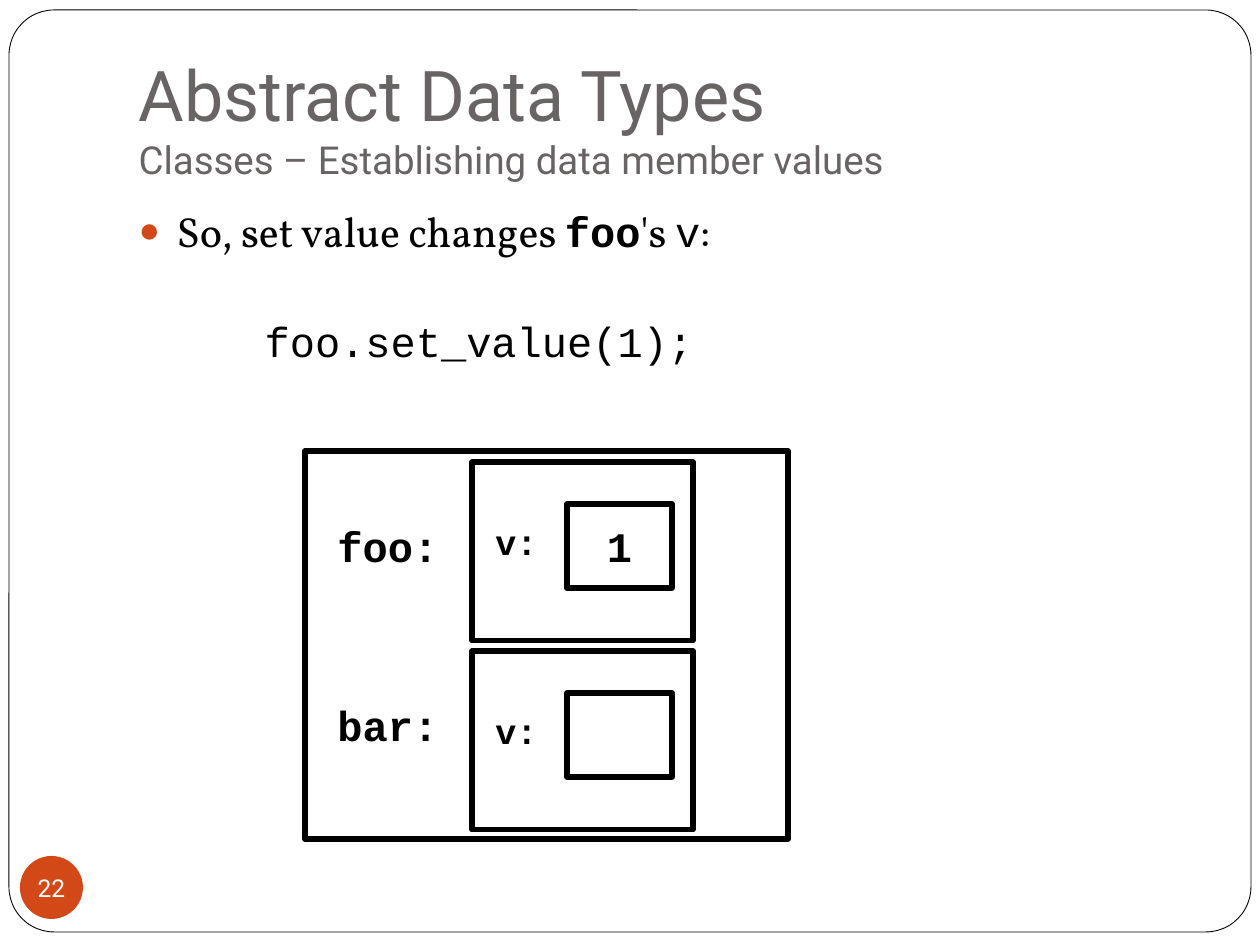
import pptx
import pptx.util
import pptx.dml.color
import pptx.enum.shapes
import pptx.enum.text
import pptx.oxml.ns
import lxml.etree

EMU_PER_PX = 914400 / 126
COLORS = {"ink": "000000", "paper": "FFFFFF", "title": "696464", "accent": "D34817"}
SANS, SERIF, MONO = "Roboto", "Vollkorn", "Courier New"
SHAPES = pptx.enum.shapes.MSO_SHAPE
ALIGN = pptx.enum.text.PP_ALIGN
ANCHOR = pptx.enum.text.MSO_ANCHOR
AUTO = pptx.enum.text.MSO_AUTO_SIZE


def px(n):
    return pptx.util.Emu(round(n * EMU_PER_PX))


def rgb(name):
    return pptx.dml.color.RGBColor.from_string(COLORS[name])


def style(font, name, size, color="ink", bold=False):
    font.name, font.size, font.bold = name, pptx.util.Pt(size), bold
    font.color.rgb = rgb(color)


def place(sp, left, top, width, height):
    sp.left, sp.top, sp.width, sp.height = map(px, (left, top, width, height))


def set_indent(p, margin, first, bullet=None):
    pPr = p._p.get_or_add_pPr()
    pPr.set("marL", str(px(margin)))
    pPr.set("indent", str(px(first)))

    def add(tag, parent=pPr, **attrs):
        return lxml.etree.SubElement(parent, pptx.oxml.ns.qn(tag), **attrs)

    if bullet:
        add("a:srgbClr", add("a:buClr"), val=COLORS["accent"])
        add("a:buSzPct", val="85000")
        add("a:buChar", char=bullet)
    else:
        add("a:buNone")


def add_shape(slide, kind, box, fill=None, line=None):
    sp = slide.shapes.add_shape(kind, *map(px, box))
    sp.shadow.inherit = False
    if fill:
        sp.fill.solid()
        sp.fill.fore_color.rgb = rgb(fill)
    else:
        sp.fill.background()
    if line:
        sp.line.color.rgb = rgb("ink")
        sp.line.width = pptx.util.Pt(line)
    else:
        sp.line.fill.background()
    return sp


def center_text(sp, text, *font):
    tf = sp.text_frame
    tf.vertical_anchor = ANCHOR.MIDDLE
    p = tf.paragraphs[0]
    p.text, p.alignment = text, ALIGN.CENTER
    style(p.font, *font)
    return tf


def add_label(slide, text, box, size, wrap):
    tf = slide.shapes.add_textbox(*map(px, box)).text_frame
    tf.word_wrap = wrap
    p = tf.paragraphs[0]
    p.text = text
    style(p.font, MONO, size, bold=True)


def add_frame(slide):
    sp = add_shape(slide, SHAPES.ROUNDED_RECTANGLE, (9, 10, 1242, 922), "paper", 0.5)
    sp.adjustments[0] = 0.049
    # Send behind the placeholders
    slide.shapes._spTree.insert(2, sp._element)


def fill_title(slide):
    sp = slide.shapes.title
    place(sp, 126, 38, 1071, 157)
    tf = sp.text_frame
    tf.auto_size, tf.vertical_anchor = AUTO.NONE, ANCHOR.BOTTOM
    tf.margin_bottom = px(13)
    p = tf.paragraphs[0]
    p.alignment = ALIGN.LEFT
    r = p.add_run()
    r.text = "Abstract Data Types"
    style(r.font, SANS, 40, "title")
    p.add_line_break()
    r = p.add_run()
    r.text = "Classes – Establishing data member values"
    style(r.font, SANS, 22, "title")


def fill_body(slide):
    sp = slide.placeholders[1]
    place(sp, 126, 199, 1071, 693)
    tf = sp.text_frame
    tf.auto_size = AUTO.NONE

    # Bulleted statement
    p = tf.paragraphs[0]
    p.space_before = pptx.util.Pt(5.8)
    set_indent(p, 38, -38, "●")
    for text, name, bold in (
        ("So, set value changes ", SERIF, False),
        ("foo", MONO, True),
        ("'s ", SERIF, False),
        ("v", MONO, False),
        (":", SERIF, False),
    ):
        r = p.add_run()
        r.text = text
        style(r.font, name, 24, bold=bold)

    # Code line
    p = tf.add_paragraph()
    p.text = "foo.set_value(1);"
    p.space_before = pptx.util.Pt(34)
    set_indent(p, 126, 0)
    style(p.font, MONO, 24)


def add_object(slide, name, top, label_top, value):
    """One object box with its name, member label and value cell."""
    add_shape(slide, SHAPES.RECTANGLE, (472, top, 221, 179), line=3)
    cell = add_shape(slide, SHAPES.RECTANGLE, (567, top + 42, 105, 84), line=3)
    if value:
        center_text(cell, value, MONO, 24, "ink", True)
    add_label(slide, name, (325, label_top, 127, 63), 24, False)
    add_label(slide, "v:", (483, top + 52, 73, 55), 20, True)


def add_page_number(slide, number):
    sp = add_shape(slide, SHAPES.OVAL, (20, 856, 63, 63), "accent")
    tf = center_text(sp, number, SANS, 14, "paper")
    tf.margin_left = tf.margin_right = tf.margin_top = tf.margin_bottom = 0
    tf.word_wrap = False


def main():
    prs = pptx.Presentation()
    prs.slide_width, prs.slide_height = px(1260), px(945)
    slide = prs.slides.add_slide(prs.slide_layouts[1])
    add_frame(slide)
    fill_title(slide)
    fill_body(slide)

    # Memory diagram
    add_shape(slide, SHAPES.RECTANGLE, (305, 451, 483, 388), line=3)
    add_object(slide, "foo:", 462, 514, "1")
    add_object(slide, "bar:", 651, 693, None)

    add_page_number(slide, "22")
    prs.save("out.pptx")


if __name__ == "__main__":
    main()
